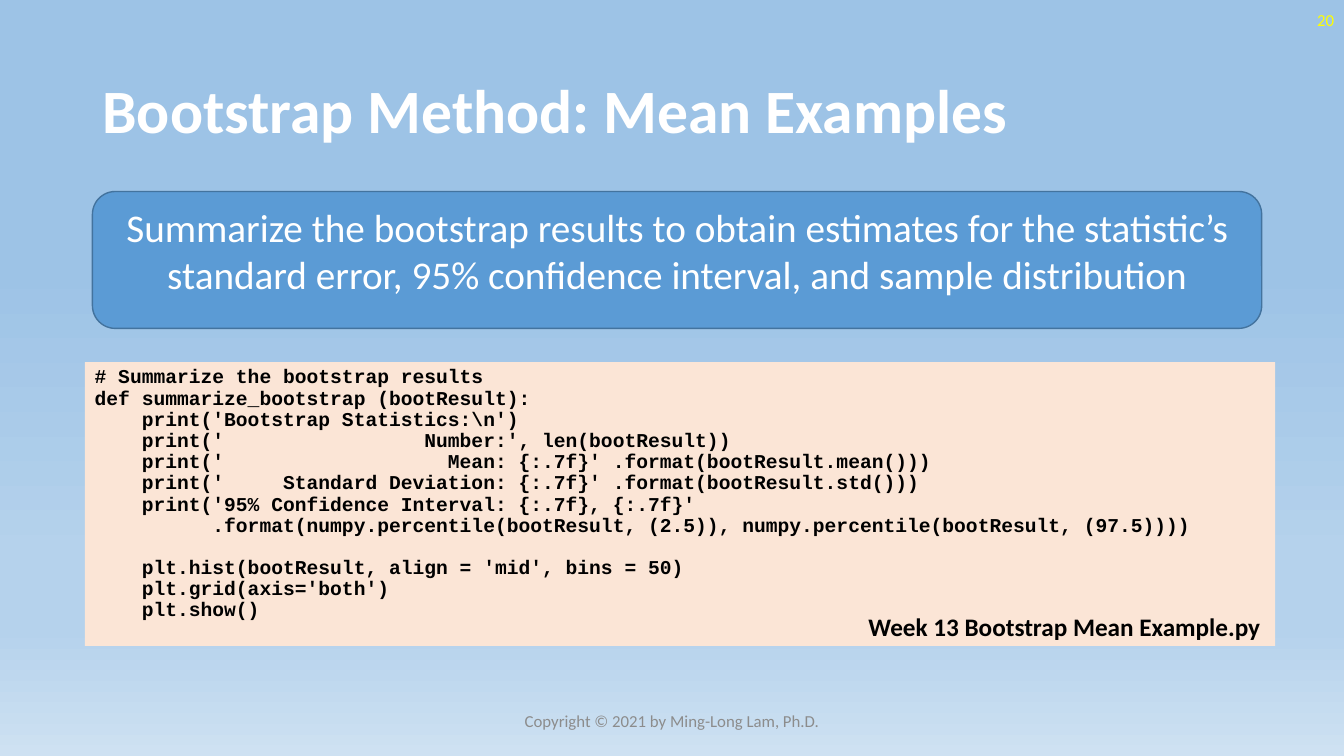
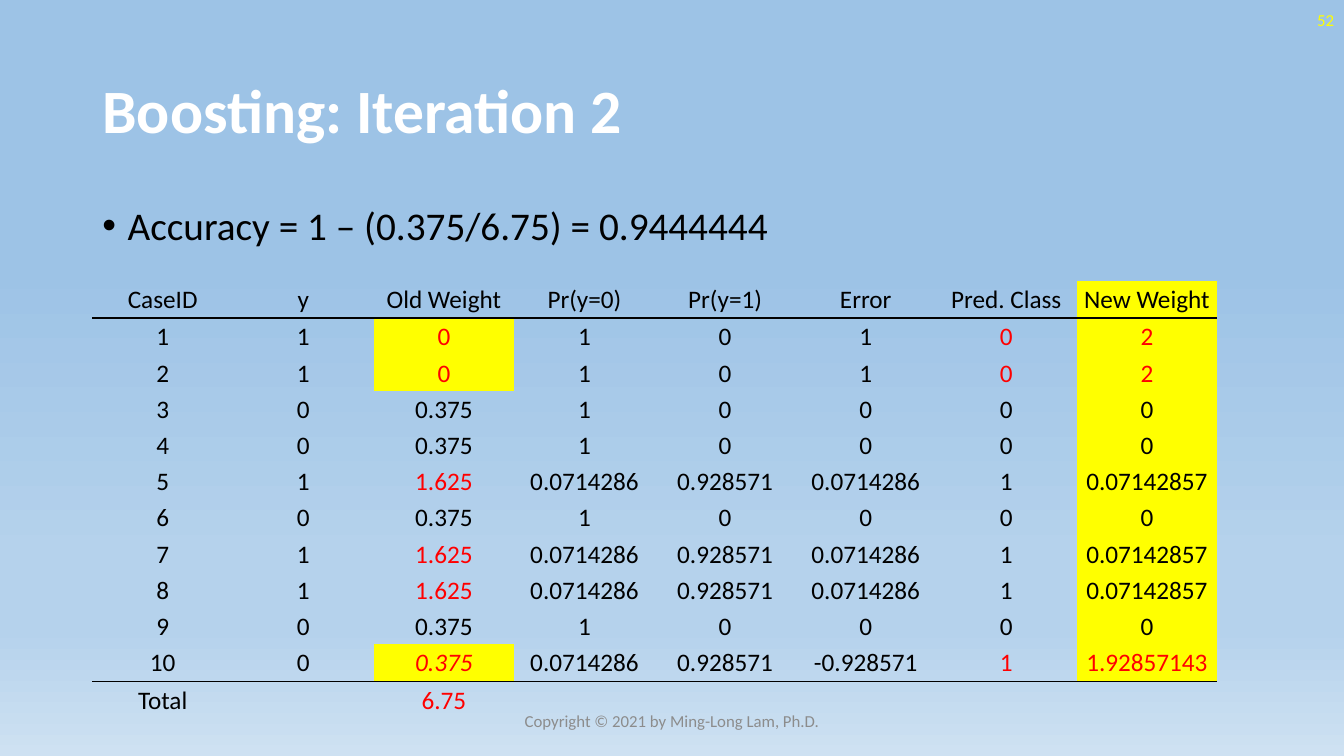
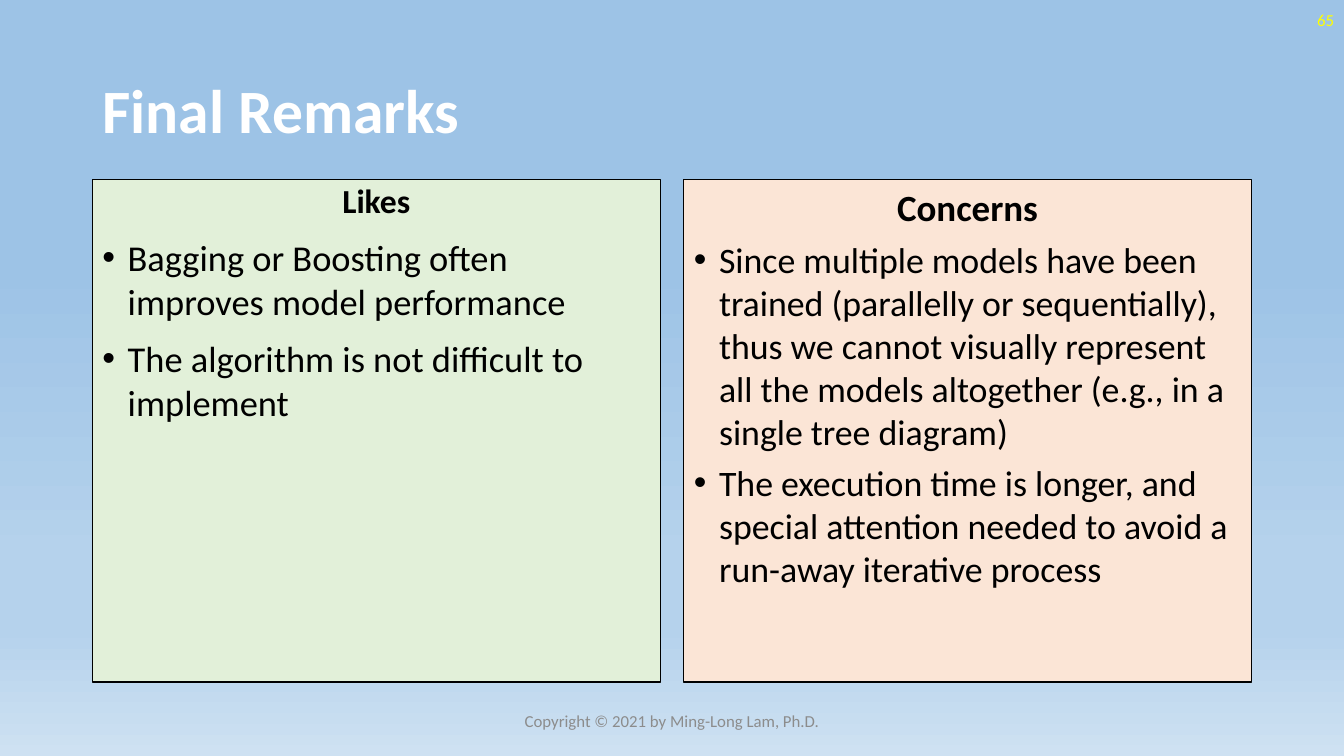
from lxml.etree import SubElement
from pptx import Presentation
from pptx.dml.color import RGBColor
from pptx.enum.shapes import MSO_SHAPE
from pptx.enum.text import MSO_ANCHOR, MSO_AUTO_SIZE, PP_ALIGN
from pptx.oxml import parse_xml
from pptx.oxml.ns import nsdecls, qn
from pptx.util import Inches, Pt

# Palette and fonts
WHITE, BLACK, GREY = "FFFFFF", "000000", "8C8C8C"
RED, YELLOW = "FF0000", "FFFF00"
BLUE, DARK_BLUE = "5B9BD5", "43739E"
GREEN, PEACH = "E2F0D9", "FBE5D6"
SKY = [(35, "9DC3E6"), (74, "B5D2EC"), (83, "B5D2EC"), (100, "CEE1F2")]
SANS, MONO = "Calibri", "Courier New"

# Grid: 160 columns by 90 rows, with the content between two margins
COLUMNS, ROWS = 160, 90
LEFT, CONTENT = 11, 138
PLAIN_TABLE = "{2D5ABB26-0587-4C30-8999-92F81FD0307C}"


def color(value):
    return RGBColor.from_string(value)


class Lecture:
    """Holds the deck, its style and the slide being filled."""

    def __init__(self):
        self.deck = Presentation()
        self.deck.slide_width = Inches(13.33)
        self.deck.slide_height = Inches(7.5)
        self.page = None
        self.paint_background()

    def paint_background(self):
        master = self.deck.slide_master
        fill = master.background.fill
        fill.gradient()
        fill.gradient_angle = 270
        stops = master.element.find(".//" + qn("a:gsLst"))
        for stop in list(stops):
            stops.remove(stop)
        for share, value in SKY:
            stop = SubElement(stops, qn("a:gs"), pos=str(share * 1000))
            SubElement(stop, qn("a:srgbClr"), val=value)

    def across(self, columns):
        return int(self.deck.slide_width * columns / COLUMNS)

    def down(self, rows):
        return int(self.deck.slide_height * rows / ROWS)

    def area(self, left, top, width, height):
        return (self.across(left), self.down(top),
                self.across(width), self.down(height))

    # Text
    def add_text(self, frame, text, size, ink=BLACK, font=SANS, bold=False,
                 italic=False, align=PP_ALIGN.LEFT, spacing=1.0, before=0,
                 bullet=False):
        first = not frame.paragraphs[0].runs
        para = frame.paragraphs[0] if first else frame.add_paragraph()
        para.alignment = align
        para.line_spacing = spacing
        para.space_before = Pt(0 if first else before)
        props = para._p.get_or_add_pPr()
        indent = Inches(0.25) if bullet else 0
        props.set("marL", str(indent))
        props.set("indent", str(-indent))
        if bullet:
            SubElement(props, qn("a:buFont"), typeface="Arial")
            SubElement(props, qn("a:buChar"), char="•")
        else:
            SubElement(props, qn("a:buNone"))
        span = para.add_run()
        span.text = text
        span.font.name = font
        span.font.size = Pt(size)
        span.font.bold = bold
        span.font.italic = italic
        span.font.color.rgb = color(ink)

    def frame(self, box, anchor=MSO_ANCHOR.TOP, wrap=True):
        frame = box.text_frame
        frame.auto_size = MSO_AUTO_SIZE.NONE
        frame.word_wrap = wrap
        frame.vertical_anchor = anchor
        return frame

    # Slide with its title, number and copyright line
    def add_page(self, layout, title, number):
        self.page = self.deck.slides.add_slide(
            self.deck.slide_layouts.get_by_name(layout))
        head = self.placeholder(0, LEFT, 4.8, CONTENT, 17.4, MSO_ANCHOR.MIDDLE)
        self.add_text(head, title, 44, WHITE, bold=True, spacing=0.9)
        self.label(str(number), 124, 0, 36, 12, YELLOW, align=PP_ALIGN.RIGHT)
        self.label("Copyright © 2021 by Ming-Long Lam, Ph.D.",
                   53, 83.4, 54, 12, GREY, align=PP_ALIGN.CENTER)

    def placeholder(self, index, left, top, width, height,
                    anchor=MSO_ANCHOR.TOP, fill=None):
        box = self.page.placeholders[index]
        box.left, box.top, box.width, box.height = self.area(
            left, top, width, height)
        if fill:
            self.paint(box, fill, BLACK)
        return self.frame(box, anchor)

    def label(self, text, left, top, width, size, ink, wrap=True, **style):
        box = self.page.shapes.add_textbox(*self.area(left, top, width, 4.8))
        self.add_text(self.frame(box, MSO_ANCHOR.MIDDLE, wrap),
                      text, size, ink, **style)

    # Shapes
    def paint(self, box, fill, line=None):
        box.fill.solid()
        box.fill.fore_color.rgb = color(fill)
        if line:
            box.line.color.rgb = color(line)
            box.line.width = Pt(1)
        else:
            box.line.fill.background()

    def block(self, preset, left, top, width, height, fill, line=None):
        box = self.page.shapes.add_shape(
            preset, *self.area(left, top, width, height))
        box.shadow.inherit = False
        self.paint(box, fill, line)
        return self.frame(box)

    # Table
    def table(self, rows, left, top, column, heights, style):
        holder = self.page.shapes.add_table(
            len(rows), len(rows[0]),
            *self.area(left, top, column * len(rows[0]), sum(heights)))
        table = holder.table
        table.first_row = table.horz_banding = False
        table._tbl.tblPr.find(qn("a:tableStyleId")).text = PLAIN_TABLE
        for grid_column in table.columns:
            grid_column.width = self.across(column)
        for r, (row, height) in enumerate(zip(rows, heights)):
            table.rows[r].height = self.down(height)
            for c, text in enumerate(row):
                self.fill_cell(table.cell(r, c), text, **style(r, c, text))

    def fill_cell(self, cell, text, fill=None, rule=0, **style):
        cell.margin_left = cell.margin_right = cell.margin_top = Inches(0.01)
        cell.margin_bottom = 0
        cell.vertical_anchor = MSO_ANCHOR.MIDDLE
        if fill:
            cell.fill.solid()
            cell.fill.fore_color.rgb = color(fill)
        else:
            cell.fill.background()
        if rule:
            cell._tc.get_or_add_tcPr().insert(0, parse_xml(
                f'<a:lnB {nsdecls("a")} w="{Pt(rule)}"><a:solidFill>'
                f'<a:srgbClr val="{BLACK}"/></a:solidFill></a:lnB>'))
        if text:
            self.add_text(cell.text_frame, text, 18, align=PP_ALIGN.CENTER,
                          **style)


# Slide content
CODE = r"""# Summarize the bootstrap results
def summarize_bootstrap (bootResult):
    print('Bootstrap Statistics:\n')
    print('                 Number:', len(bootResult))
    print('                   Mean: {:.7f}' .format(bootResult.mean()))
    print('     Standard Deviation: {:.7f}' .format(bootResult.std()))
    print('95% Confidence Interval: {:.7f}, {:.7f}'
          .format(numpy.percentile(bootResult, (2.5)), numpy.percentile(bootResult, (97.5))))

    plt.hist(bootResult, align = 'mid', bins = 50)
    plt.grid(axis='both')
    plt.show()"""

CASES = [
    ["CaseID", "y", "Old Weight", "Pr(y=0)", "Pr(y=1)", "Error",
     "Pred. Class", "New Weight"],
    ["1", "1", "0", "1", "0", "1", "0", "2"],
    ["2", "1", "0", "1", "0", "1", "0", "2"],
    ["3", "0", "0.375", "1", "0", "0", "0", "0"],
    ["4", "0", "0.375", "1", "0", "0", "0", "0"],
    ["5", "1", "1.625", "0.0714286", "0.928571", "0.0714286", "1", "0.07142857"],
    ["6", "0", "0.375", "1", "0", "0", "0", "0"],
    ["7", "1", "1.625", "0.0714286", "0.928571", "0.0714286", "1", "0.07142857"],
    ["8", "1", "1.625", "0.0714286", "0.928571", "0.0714286", "1", "0.07142857"],
    ["9", "0", "0.375", "1", "0", "0", "0", "0"],
    ["10", "0", "0.375", "0.0714286", "0.928571", "-0.928571", "1", "1.92857143"],
    ["Total", "", "6.75", "", "", "", "", ""],
]
OLD_WEIGHT, PREDICTED, NEW_WEIGHT = 2, 6, 7
MISCLASSIFIED = {1, 2, 10}
LAST_CASE, TOTAL = 10, 11


def case_style(row, column, text):
    missed = row in MISCLASSIFIED
    old = column == OLD_WEIGHT
    red = (missed and column in (OLD_WEIGHT, PREDICTED, NEW_WEIGHT)
           or old and text in ("1.625", "6.75"))
    yellow = old and missed or column == NEW_WEIGHT and row != TOTAL
    return {"ink": RED if red else BLACK,
            "fill": YELLOW if yellow else None,
            "italic": old and row == LAST_CASE,
            "rule": {0: 2, LAST_CASE: 1}.get(row, 0)}


def bootstrap_page(lecture):
    lecture.add_page("Title Only", "Bootstrap Method: Mean Examples", 20)
    listing = lecture.block(MSO_SHAPE.RECTANGLE, 10.1, 43.1, 141.7, 33.8, PEACH)
    for part in CODE.split("\n\n"):
        for number, line in enumerate(part.split("\n")):
            lecture.add_text(listing, line, 14, font=MONO, bold=True,
                             spacing=0.9, before=0 if number else 15)
    callout = lecture.block(MSO_SHAPE.ROUNDED_RECTANGLE, LEFT, 22.8, 139.2,
                            16.3, BLUE, DARK_BLUE)
    lecture.add_text(callout, "Summarize the bootstrap results to obtain "
                     "estimates for the statistic’s standard error, 95% "
                     "confidence interval, and sample distribution",
                     28, WHITE, align=PP_ALIGN.CENTER)
    lecture.label("Week 13 Bootstrap Mean Example.py", 102.2, 72.2, 49.4, 18,
                  BLACK, wrap=False, bold=True)


def boosting_page(lecture):
    lecture.add_page("Title and Content", "Boosting: Iteration 2", 52)
    body = lecture.placeholder(1, LEFT, 24, CONTENT, 57.1)
    lecture.add_text(body, "Accuracy = 1 – (0.375/6.75) = 0.9444444", 28,
                     spacing=0.9, bullet=True)
    heights = [4.45] * 2 + [4.3] * 8 + [4.45] * 2
    lecture.table(CASES, LEFT, 33.4, 16.74, heights, case_style)


def remarks_page(lecture):
    lecture.add_page("Two Content", "Final Remarks", 65)
    gap = 2.8
    width = (CONTENT - gap) / 2
    panels = [
        ("Likes", 24, 0.9, 26, 10, GREEN,
         ["Bagging or Boosting often improves model performance",
          "The algorithm is not difficult to implement"]),
        ("Concerns", 26.4, 1.0, 25.6, 6, PEACH,
         ["Since multiple models have been trained (parallelly or "
          "sequentially), thus we cannot visually represent all the models "
          "altogether (e.g., in a single tree diagram)",
          "The execution time is longer, and special attention needed to "
          "avoid a run-away iterative process"]),
    ]
    for place, (name, name_size, spacing, size, before, fill, points) in enumerate(panels):
        panel = lecture.placeholder(place + 1, LEFT + place * (width + gap),
                                    21.4, width, 59.8, fill=fill)
        lecture.add_text(panel, name, name_size, bold=True, spacing=spacing,
                         align=PP_ALIGN.CENTER)
        for point in points:
            lecture.add_text(panel, point, size, before=before, bullet=True)


def main():
    lecture = Lecture()
    bootstrap_page(lecture)
    boosting_page(lecture)
    remarks_page(lecture)
    lecture.deck.save("out.pptx")


if __name__ == "__main__":
    main()
